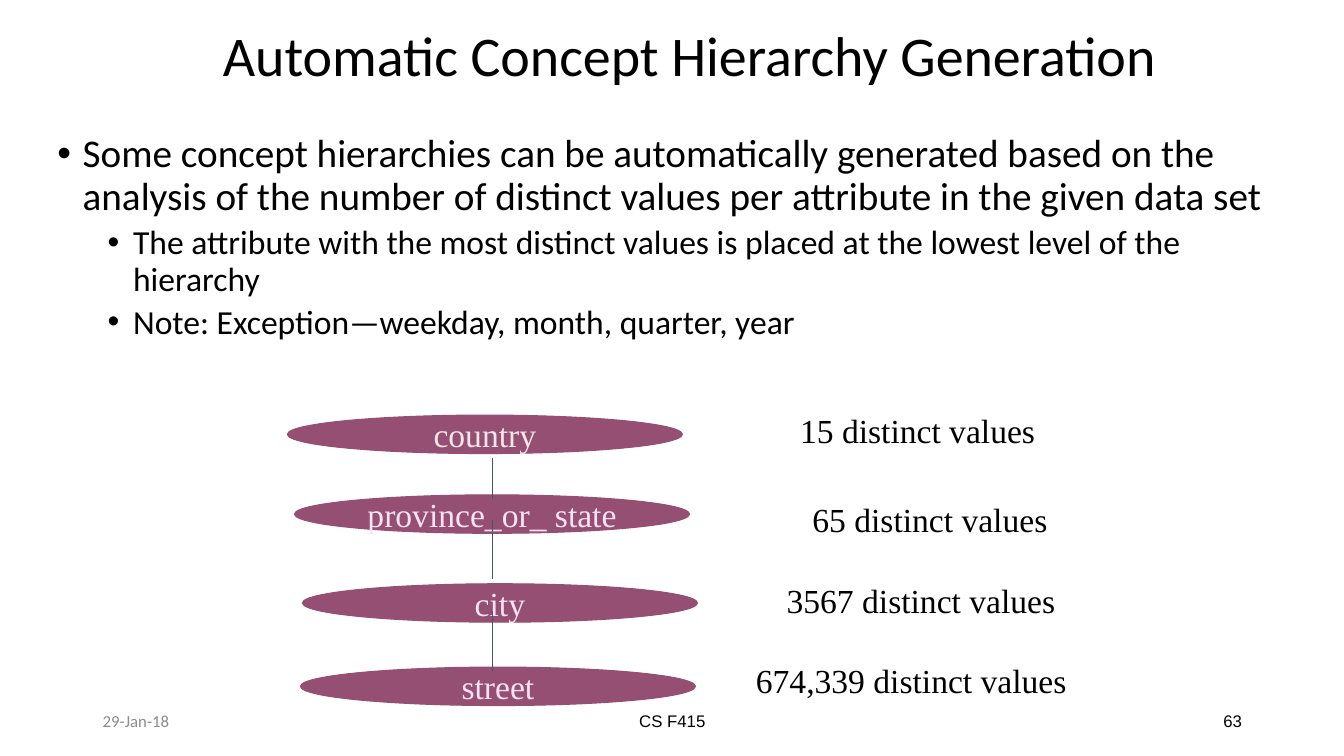
from lxml import etree
from pptx import Presentation
from pptx.dml.color import RGBColor
from pptx.enum.shapes import MSO_CONNECTOR, MSO_SHAPE
from pptx.enum.text import MSO_ANCHOR, MSO_AUTO_SIZE, PP_ALIGN
from pptx.oxml.ns import qn
from pptx.util import Cm, Pt

LEFT, CENTER, RIGHT = PP_ALIGN.LEFT, PP_ALIGN.CENTER, PP_ALIGN.RIGHT
TOP, MIDDLE = MSO_ANCHOR.TOP, MSO_ANCHOR.MIDDLE
NO_AUTOFIT = MSO_AUTO_SIZE.NONE
ELLIPSE, STRAIGHT = MSO_SHAPE.OVAL, MSO_CONNECTOR.STRAIGHT

COLORS = {
    "text": "000000",
    "date": "8C8C8C",
    "level": "954F72",
    "top_label": "F6E6EA",
    "label": "FAE2F6",
    "link": "44546A",
}

TITLE = "Automatic Concept Hierarchy Generation"
POINTS = [
    (0, "Some concept hierarchies can be automatically generated based on the "
        "analysis of the number of distinct values per attribute in the given data set"),
    (1, "The attribute with the most distinct values is placed at the lowest level "
        "of the hierarchy"),
    (1, "Note: Exception—weekday, month, quarter, year"),
]
POINT_FORMATS = [
    {"size": 28, "indent": 0.64, "before": 10},
    {"size": 24, "indent": 1.91, "before": 5},
]
LEVELS = [
    ("country", "top_label", 7.24, 10.46),
    ("province_or_ state", "label", 7.42, 12.47),
    ("city", "label", 7.62, 14.71),
    ("street", "label", 7.57, 16.81),
]
LINK_X = 12.4
LINKS = [(11.53, 12.57), (13.11, 14.6), (15.39, 16.92)]
COUNTS = [
    ("15 distinct values", 19.91, 10.21, 6.43),
    ("65 distinct values", 20.22, 12.45, 6.43),
    ("3567 distinct values", 19.58, 14.5, 7.26),
    ("674,339 distinct values", 18.8, 16.51, 8.33),
]
FOOTERS = [
    ("29-Jan-18", 2.34, 7.62, LEFT, "Calibri", "date"),
    ("CS F415", 11.23, 11.43, CENTER, "Arial", "text"),
    ("63", 23.93, 7.62, RIGHT, "Arial", "text"),
]


def rgb(name):
    return RGBColor.from_string(COLORS[name])


def apply(target, formats):
    for attribute, value in formats.items():
        setattr(target, attribute, value)


def place(shape, left, top, width, height):
    apply(shape, {"left": Cm(left), "top": Cm(top),
                  "width": Cm(width), "height": Cm(height)})


def format_font(paragraph, name, size, color):
    for run in paragraph.runs:
        apply(run.font, {"name": name, "size": Pt(size)})
        run.font.color.rgb = rgb(color)


def write(shape, text, align, anchor, wrap, name, size, color):
    frame = shape.text_frame
    apply(frame, {"text": text, "vertical_anchor": anchor,
                  "word_wrap": wrap, "auto_size": NO_AUTOFIT})
    paragraph = frame.paragraphs[0]
    paragraph.alignment = align
    format_font(paragraph, name, size, color)
    return paragraph


def add_text(slide, box, *text_format):
    write(slide.shapes.add_textbox(*map(Cm, box)), *text_format)


def fill_title(title):
    place(title, 5.36, 0.76, 26.82, 1.42)
    paragraph = write(title, TITLE, LEFT, MIDDLE, True, "Calibri", 40, "text")
    paragraph.line_spacing = 0.9


def add_bullet(paragraph, indent):
    properties = paragraph._p.get_or_add_pPr()
    properties.set("marL", str(Cm(indent)))
    properties.set("indent", str(-Cm(0.64)))
    etree.SubElement(properties, qn("a:buFont")).set("typeface", "Arial")
    etree.SubElement(properties, qn("a:buChar")).set("char", "•")


def fill_points(body):
    place(body, 1.19, 3.25, 30.96, 7.26)
    frame = body.text_frame
    apply(frame, {"word_wrap": True, "auto_size": NO_AUTOFIT, "vertical_anchor": TOP})
    for index, (level, text) in enumerate(POINTS):
        paragraph = frame.add_paragraph() if index else frame.paragraphs[0]
        point = POINT_FORMATS[level]
        add_bullet(paragraph, point["indent"])
        apply(paragraph, {"text": text, "level": level, "alignment": LEFT,
                          "line_spacing": 0.9,
                          "space_before": Pt(point["before"] if index else 0)})
        format_font(paragraph, "Calibri", point["size"], "text")


def add_level(slide, text, color, left, top):
    level = slide.shapes.add_shape(ELLIPSE, Cm(left), Cm(top), Cm(9.96), Cm(0.97))
    level.shadow.inherit = False
    level.fill.solid()
    level.fill.fore_color.rgb = rgb("level")
    level.line.color.rgb = rgb("level")
    level.line.width = Pt(0.75)
    write(level, text, CENTER, MIDDLE, False, "Times New Roman", 24, color)


def add_link(slide, start, end):
    link = slide.shapes.add_connector(STRAIGHT, Cm(LINK_X), Cm(start), Cm(LINK_X), Cm(end))
    link.line.color.rgb = rgb("link")
    link.line.width = Pt(0.75)
    etree.SubElement(link._element.spPr, qn("a:effectLst"))


def main():
    deck = Presentation()
    apply(deck, {"slide_width": Cm(33.87), "slide_height": Cm(19.05)})
    slide = deck.slides.add_slide(deck.slide_layouts[1])
    fill_title(slide.shapes.title)
    fill_points(slide.placeholders[1])
    for level in LEVELS:
        add_level(slide, *level)
    for link in LINKS:
        add_link(slide, *link)
    for text, left, top, width in COUNTS:
        add_text(slide, (left, top, width, 1.27), text, CENTER, TOP, False,
                 "Times New Roman", 24, "text")
    for text, left, width, align, font, color in FOOTERS:
        add_text(slide, (left, 17.65, width, 1.01), text, align, MIDDLE, True,
                 font, 12, color)
    deck.save("out.pptx")


if __name__ == "__main__":
    main()
